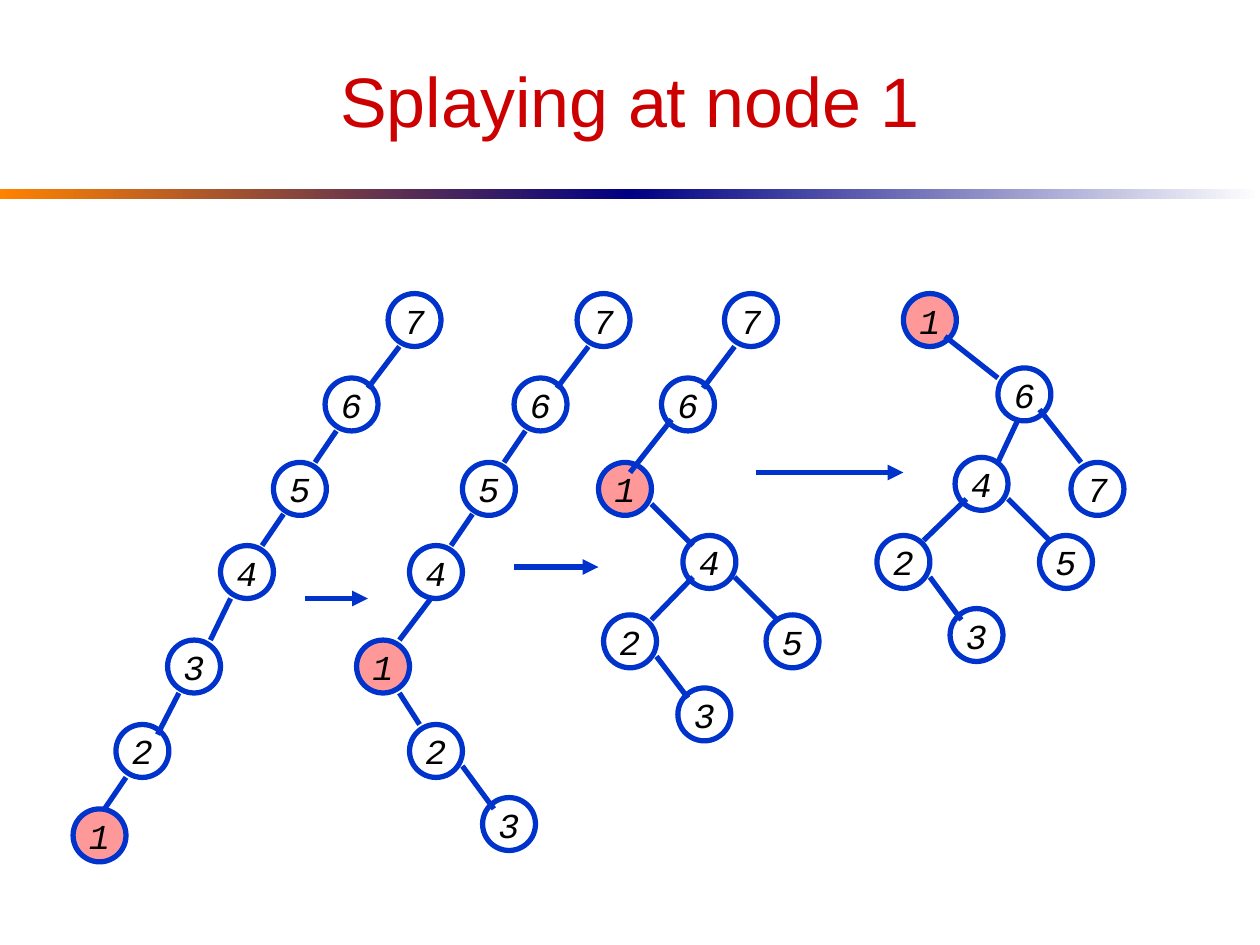
from lxml.etree import SubElement
from pptx import Presentation
from pptx.dml.color import RGBColor
from pptx.enum.shapes import MSO_CONNECTOR, MSO_SHAPE
from pptx.enum.text import MSO_ANCHOR, PP_ALIGN
from pptx.oxml.ns import qn
from pptx.util import Inches, Pt

COLORS = {"title": "CC0000", "line": "0033CC", "node": "FFFFFF", "splayed": "FF9999",
          "text": "000000", "orange": "FF8200", "navy": "000082", "white": "FFFFFF"}
TITLE = "Splaying at node 1"
SPLAYED = 1   # key of the node being splayed
NODE = 0.42   # node diameter

# Each stage: key -> (left, top) of its node, and edges as (x1, y1, x2, y2)
STAGES = [
    {"nodes": {1: (0.58, 6.42), 2: (0.92, 5.75), 3: (1.33, 5.08), 4: (1.75, 4.33),
               5: (2.17, 3.67), 6: (2.58, 3), 7: (3.08, 2.33)},
     "edges": [(3.17, 2.75, 2.92, 3.08), (2.67, 3.42, 2.5, 3.67), (2.25, 4.08, 2.08, 4.33),
               (1.83, 4.75, 1.67, 5.08), (1.42, 5.5, 1.25, 5.83), (1, 6.17, 0.83, 6.42)]},
    {"nodes": {4: (3.25, 4.33), 5: (3.67, 3.67), 6: (4.08, 3), 7: (4.58, 2.33),
               1: (2.83, 5.08), 2: (3.25, 5.75), 3: (3.83, 6.33)},
     "edges": [(4.67, 2.75, 4.42, 3.08), (4.17, 3.42, 4, 3.67), (3.75, 4.08, 3.58, 4.33),
               (3.42, 4.75, 3.17, 5.08), (3.17, 5.5, 3.33, 5.75), (3.67, 6.08, 3.92, 6.42)]},
    {"nodes": {6: (5.25, 3), 7: (5.75, 2.33), 4: (5.42, 4.25), 1: (4.75, 3.67),
               5: (6.08, 4.88), 2: (4.79, 4.88), 3: (5.38, 5.46)},
     "edges": [(5.83, 2.75, 5.58, 3.08), (5.21, 5.21, 5.46, 5.54), (5.17, 4, 5.5, 4.33),
               (5.83, 4.58, 6.17, 4.92), (5.5, 4.58, 5.17, 4.92), (5, 3.75, 5.33, 3.33)]},
    {"nodes": {1: (7.17, 2.33), 6: (7.92, 2.92), 7: (8.5, 3.67), 4: (7.58, 3.63),
               5: (8.25, 4.25), 2: (6.96, 4.25), 3: (7.54, 4.83)},
     "edges": [(7.38, 4.58, 7.63, 4.92), (8, 3.96, 8.33, 4.29), (7.67, 3.96, 7.33, 4.29),
               (7.5, 2.67, 7.92, 3), (8.25, 3.25, 8.58, 3.67), (8.08, 3.33, 7.92, 3.67)]},
]
# Arrows between stages: (x1, x2, y)
STEPS = [(2.42, 2.92, 4.75), (4.08, 4.75, 4.5), (6, 7.17, 3.75)]
# Halves of the rule under the title: (left, start colour, end colour)
RULE = [(0, "orange", "navy"), (5, "navy", "white")]


def rgb(name):
    return RGBColor.from_string(COLORS[name])


def set_text(sp, text, *, size, font, color, italic=False, wrap=True):
    tf = sp.text_frame
    tf.word_wrap = wrap
    tf.vertical_anchor = MSO_ANCHOR.MIDDLE
    p = tf.paragraphs[0]
    p.alignment = PP_ALIGN.CENTER
    r = p.add_run()
    r.text = text
    r.font.size, r.font.name, r.font.italic = Pt(size), font, italic
    r.font.color.rgb = rgb(color)


def add_rule(s, left, start, end):
    sp = s.shapes.add_shape(MSO_SHAPE.RECTANGLE, Inches(left), Inches(1.5),
                            Inches(5), Inches(0.08))
    sp.shadow.inherit = False
    sp.line.fill.background()
    sp.fill.gradient()
    sp.fill.gradient_angle = 0
    for stop, color, position in zip(sp.fill.gradient_stops, (start, end), (0, 1)):
        stop.color.rgb = rgb(color)
        stop.position = position


def add_node(s, key, left, top):
    sp = s.shapes.add_shape(MSO_SHAPE.OVAL, Inches(left), Inches(top),
                            Inches(NODE), Inches(NODE))
    sp.shadow.inherit = False
    sp.fill.solid()
    sp.fill.fore_color.rgb = rgb("splayed" if key == SPLAYED else "node")
    sp.line.color.rgb = rgb("line")
    sp.line.width = Pt(3)
    set_text(sp, str(key), size=20, font="Courier New", color="text",
             italic=True, wrap=False)


def add_line(s, x1, y1, x2, y2, arrow=False):
    ln = s.shapes.add_connector(MSO_CONNECTOR.STRAIGHT, Inches(x1), Inches(y1),
                                Inches(x2), Inches(y2))
    ln.line.color.rgb = rgb("line")
    ln.line.width = Pt(3)
    if arrow:
        SubElement(ln.line._get_or_add_ln(), qn("a:tailEnd"), type="triangle")
    SubElement(ln._element.spPr, qn("a:effectLst"))


def main():
    prs = Presentation()
    prs.slide_width, prs.slide_height = Inches(10), Inches(7.5)
    s = prs.slides.add_slide(prs.slide_layouts[6])

    # Title and rule
    for half in RULE:
        add_rule(s, *half)
    title = s.shapes.add_textbox(Inches(0.5), Inches(0.25), Inches(9), Inches(1.08))
    set_text(title, TITLE, size=40, font="Arial", color="title")

    # Trees, edges over nodes
    for stage in STAGES:
        for key, (left, top) in stage["nodes"].items():
            add_node(s, key, left, top)
        for edge in stage["edges"]:
            add_line(s, *edge)

    # Arrows between trees
    for x1, x2, y in STEPS:
        add_line(s, x1, y, x2, y, arrow=True)

    prs.save("out.pptx")


if __name__ == "__main__":
    main()
